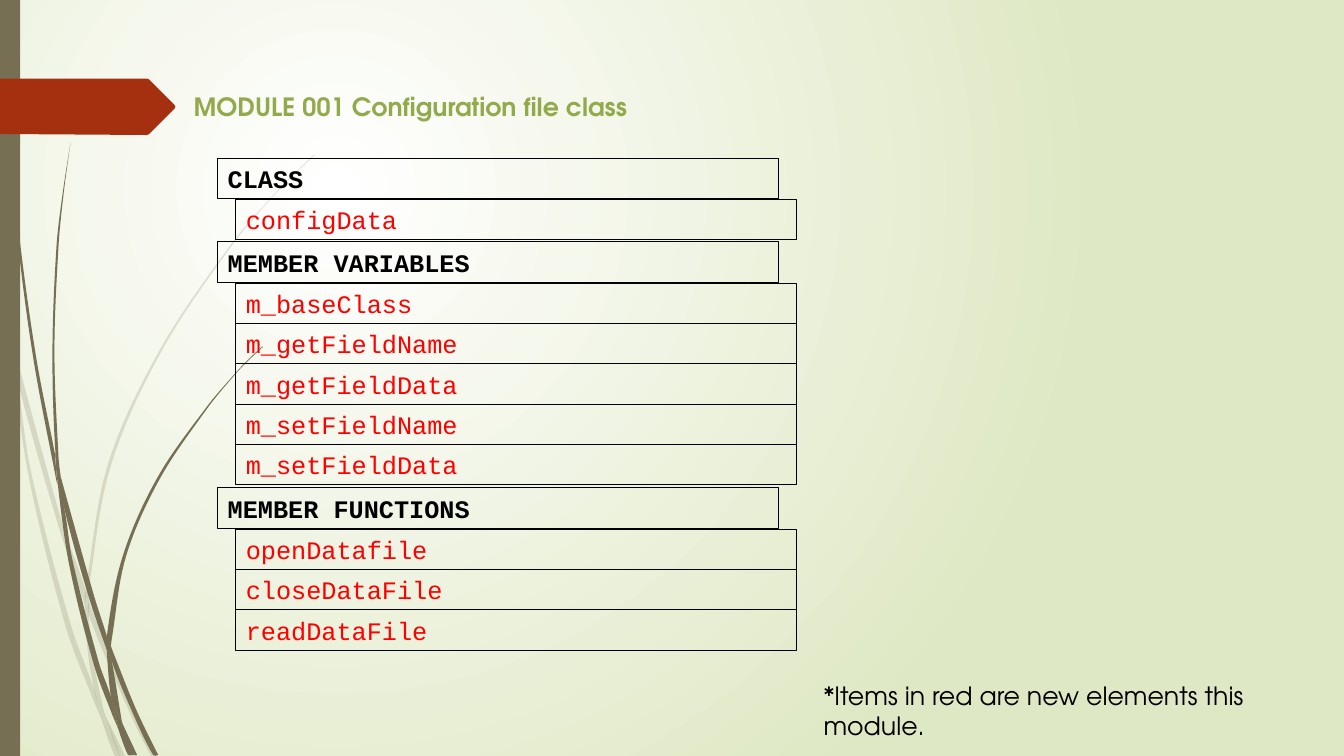
from dataclasses import dataclass
from math import hypot

from lxml import etree
from pptx import Presentation
from pptx import util as u
from pptx.dml.color import RGBColor
from pptx.enum import shapes, text
from pptx.oxml.ns import qn

Point = tuple[float, float]
COLOURS = {
    "white": "FFFFFF", "pale green": "DFE8C4", "olive": "766F54",
    "rust": "A53010", "title": "92AA4C", "new": "FF0000", "black": "000000",
}
HEADING_FONT, CODE_FONT = "TeX Gyre Adventor", "Courier New"
ROW_WIDTH, ROW_HEIGHT = 5.56, 0.4
HEADING_LEFT, MEMBER_LEFT = 2.16, 2.34


@dataclass
class Section:
    top: float
    heading: str
    members: list[str]


@dataclass
class Grass:
    opacity: int
    blades: list[list[Point]]


SECTIONS = [
    Section(1.57, "CLASS", ["configData"]),
    Section(2.40, "MEMBER VARIABLES", ["m_baseClass", "m_getFieldName", "m_getFieldData",
                                       "m_setFieldName", "m_setFieldData"]),
    Section(4.84, "MEMBER FUNCTIONS", ["openDatafile", "closeDataFile", "readDataFile"]),
]

PALE_GRASS = Grass(20, [
    [(0.11, 3.5), (0.09, 3.22), (0, 2.82), (0, 2.99), (0.1, 3.44)],
    [(0.58, 5.22), (0.84, 5.99), (0.85, 5.86), (0.62, 5.2), (0.14, 3.45), (0.17, 3.76)],
    [(0.92, 6.07), (0.88, 5.96), (0.88, 6.1), (1.23, 6.94), (1.5, 7.5), (1.55, 7.5),
     (1.27, 6.92)],
    [(1.19, 7.5), (1.24, 7.5), (1.05, 7.11)],
    [(0.93, 6.83), (0.7, 6.19), (0.31, 4.69), (0.17, 3.76), (0.11, 3.5), (0.28, 4.7),
     (0.65, 6.21), (0.92, 6.93), (1.01, 7.14), (0.99, 7.07)],
    [(0.84, 5.99), (0.87, 6.46), (0.93, 6.83), (0.96, 6.92), (1.05, 7.11), (1.03, 7.06),
     (0.91, 6.46), (0.88, 6.1), (0.88, 6.08)],
    [(0.88, 5.84), (1.1, 4.62), (1.6, 3.49), (2.29, 2.45), (2.68, 1.98), (2.9, 1.75),
     (3.12, 1.54), (3.12, 1.53), (2.89, 1.75), (2.68, 1.97), (2.28, 2.44), (1.58, 3.48),
     (1.07, 4.61), (0.85, 5.84), (0.85, 5.86), (0.88, 5.96)],
    [(1.01, 7.14), (1.14, 7.5), (1.19, 7.5)],
    [(0.88, 6.08), (0.88, 6.1), (0.88, 5.96), (0.85, 5.86), (0.84, 5.99)],
    [(0.96, 6.92), (0.93, 6.83), (0.99, 7.07), (1.01, 7.14), (1.19, 7.5), (1.05, 7.11)],
])

DARK_GRASS = Grass(100, [
    [(0.07, 1.1), (0.17, 2.33), (0.33, 3.55), (0.56, 4.77), (0.57, 4.81), (0.55, 4.57),
     (0.55, 4.53), (0.36, 3.55), (0.19, 2.32), (0.08, 1.09), (0.05, 0.48), (0.04, 0),
     (0.03, 0), (0.04, 0.48)],
    [(0.88, 5.92), (1.06, 6.45), (1.06, 6.33), (1.06, 6.31), (0.93, 5.9), (0.6, 4.72),
     (0.64, 5.05)],
    [(1.13, 6.49), (1.1, 6.41), (1.11, 6.56), (1.32, 7.08), (1.52, 7.49), (1.57, 7.49),
     (1.36, 7.06)],
    [(1.1, 6.91), (0.98, 6.57), (0.72, 5.56), (0.64, 5.05), (0.57, 4.77), (0.68, 5.57),
     (0.93, 6.59), (1.11, 7.08), (1.17, 7.22), (1.16, 7.17)],
    [(0.6, 4.72), (0.58, 4.53), (0.54, 3.49), (0.58, 2.45), (0.63, 1.93), (0.7, 1.41),
     (0.62, 1.93), (0.56, 2.45), (0.52, 3.49), (0.55, 4.49)],
    [(1.33, 7.49), (1.36, 7.49), (1.22, 7.19)],
    [(0.57, 4.77), (0.64, 5.05), (0.6, 4.72), (0.55, 4.49), (0.55, 4.53)],
    [(1.11, 6.33), (1.25, 5.52), (1.58, 4.76), (2.05, 4.06), (2.31, 3.74), (2.45, 3.59),
     (2.61, 3.44), (2.6, 3.44), (2.45, 3.58), (2.31, 3.73), (2.04, 4.05), (1.56, 4.74),
     (1.22, 5.51), (1.06, 6.31), (1.1, 6.41)],
    [(1.17, 7.22), (1.27, 7.49), (1.31, 7.49)],
    [(1.06, 6.45), (1.1, 6.91), (1.16, 7.06), (1.22, 7.19), (1.21, 7.16), (1.11, 6.56),
     (1.09, 6.51)],
    [(1.06, 6.45), (1.09, 6.51), (1.11, 6.56), (1.1, 6.41), (1.06, 6.31), (1.06, 6.33)],
    [(1.16, 7.06), (1.1, 6.91), (1.16, 7.17), (1.17, 7.22), (1.3, 7.49), (1.33, 7.49),
     (1.22, 7.19)],
])

TITLE_ARROW = [(0, 0.78), (1.46, 0.78), (1.48, 0.79), (1.73, 1.04), (1.74, 1.06),
               (1.73, 1.08), (1.48, 1.33), (1.46, 1.34), (0, 1.33)]


def colour(name: str) -> RGBColor:
    return RGBColor.from_string(COLOURS[name])


def box(left: float, top: float, width: float, height: float) -> list[u.Length]:
    return [u.Inches(length) for length in (left, top, width, height)]


def write(holder, wording: str, font: str, tint: str, bold: bool = False,
          align=text.PP_ALIGN.LEFT, anchor=text.MSO_ANCHOR.MIDDLE) -> None:
    frame = holder.text_frame
    frame.text = wording
    frame_format = {"word_wrap": True, "vertical_anchor": anchor,
                    "auto_size": text.MSO_AUTO_SIZE.NONE}
    for name, value in frame_format.items():
        setattr(frame, name, value)
    paragraph = frame.paragraphs[0]
    paragraph.alignment = align
    run_font = paragraph.runs[0].font
    for name, value in {"name": font, "size": u.Pt(18), "bold": bold}.items():
        setattr(run_font, name, value)
    run_font.color.rgb = colour(tint)


def paint(shape, tint: str) -> None:
    shape.shadow.inherit = False
    shape.fill.solid()
    shape.fill.fore_color.rgb = colour(tint)
    shape.line.fill.background()


def paint_background(slide) -> None:
    fill = slide.background.fill
    fill.gradient()
    for stop, tint in zip(fill.gradient_stops, ("white", "pale green")):
        stop.color.rgb = colour(tint)
    gradient = slide.background._cSld.find(".//" + qn("a:gradFill"))
    gradient.remove(gradient.find(qn("a:lin")))
    circle = etree.SubElement(gradient, qn("a:path"), {"path": "circle"})
    etree.SubElement(circle, qn("a:fillToRect"),
                     {"l": "50000", "t": "50000", "r": "100000", "b": "100000"})


def draw_outline(slide, points: list[Point], tint: str):
    corners = [(u.Inches(x), u.Inches(y)) for x, y in points]
    builder = slide.shapes.build_freeform(*corners[0])
    builder.add_line_segments(corners[1:] + corners[:1], close=True)
    outline = builder.convert_to_shape()
    paint(outline, tint)
    return outline


def direction(before: Point, here: Point, after: Point) -> Point:
    """Unit tangent at a point, or zero where the outline turns sharply."""
    turn = ((here[0] - before[0]) * (after[0] - here[0])
            + (here[1] - before[1]) * (after[1] - here[1]))
    if turn <= 0:
        return 0, 0
    dx, dy = after[0] - before[0], after[1] - before[1]
    return dx / hypot(dx, dy), dy / hypot(dx, dy)


def curve_edges(outline) -> None:
    """Turn the straight edges of a closed outline into smooth Bézier curves."""
    edges = list(outline._element.iter(qn("a:lnTo")))
    ends = [(int(edge[0].get("x")), int(edge[0].get("y"))) for edge in edges]
    count = len(ends)
    tangents = [direction(ends[i - 1], ends[i], ends[(i + 1) % count]) for i in range(count)]
    for i, edge in enumerate(edges):
        start, end = ends[i - 1], ends[i]
        reach = hypot(end[0] - start[0], end[1] - start[1]) / 3
        handles = [tuple(p + reach * t for p, t in zip(start, tangents[i - 1])),
                   tuple(p - reach * t for p, t in zip(end, tangents[i])), end]
        curve = etree.Element(qn("a:cubicBezTo"))
        for x, y in handles:
            etree.SubElement(curve, qn("a:pt"), {"x": str(round(x)), "y": str(round(y))})
        edge.getparent().replace(edge, curve)


def draw_grass(slide, grass: Grass) -> None:
    for points in grass.blades:
        blade = draw_outline(slide, points, "olive")
        curve_edges(blade)
        if grass.opacity < 100:
            tint = blade._element.spPr.find(qn("a:solidFill"))[0]
            etree.SubElement(tint, qn("a:alpha"), {"val": str(grass.opacity * 1000)})


def draw_row(slide, left: float, top: float, wording: str, tint: str, bold: bool) -> None:
    row = slide.shapes.add_shape(shapes.MSO_SHAPE.RECTANGLE,
                                 *box(left, top, ROW_WIDTH, ROW_HEIGHT))
    row.shadow.inherit = False
    row.fill.background()
    row.line.color.rgb = colour("black")
    row.line.width = u.Pt(0.75)
    write(row, wording, CODE_FONT, tint, bold)


def main() -> None:
    deck = Presentation()
    deck.slide_width, deck.slide_height = u.Inches(13.33), u.Inches(7.5)
    slide = deck.slides.add_slide(deck.slide_layouts[5])
    paint_background(slide)

    # Grass, side bar and title arrow
    for grass in (PALE_GRASS, DARK_GRASS):
        draw_grass(slide, grass)
    side_bar = slide.shapes.add_shape(shapes.MSO_SHAPE.RECTANGLE, *box(0, 0, 0.2, 7.5))
    paint(side_bar, "olive")
    draw_outline(slide, TITLE_ARROW, "rust")

    # Title
    title = slide.shapes.title
    title.left, title.top, title.width, title.height = box(1.57, 0.86, 5, 0.4)
    write(title, "MODULE 001 Configuration file class", HEADING_FONT, "title", True,
          text.PP_ALIGN.CENTER)

    # Class outline
    for section in SECTIONS:
        draw_row(slide, HEADING_LEFT, section.top, section.heading, "black", True)
        for i, member in enumerate(section.members):
            draw_row(slide, MEMBER_LEFT, section.top + 0.41 + i * ROW_HEIGHT, member, "new", False)

    # Note on the red items
    note = slide.shapes.add_textbox(*box(8.07, 6.7, 5.11, 0.4))
    write(note, "*Items in red are new elements this module.", HEADING_FONT, "black",
          anchor=text.MSO_ANCHOR.TOP)

    deck.save("out.pptx")


if __name__ == "__main__":
    main()
